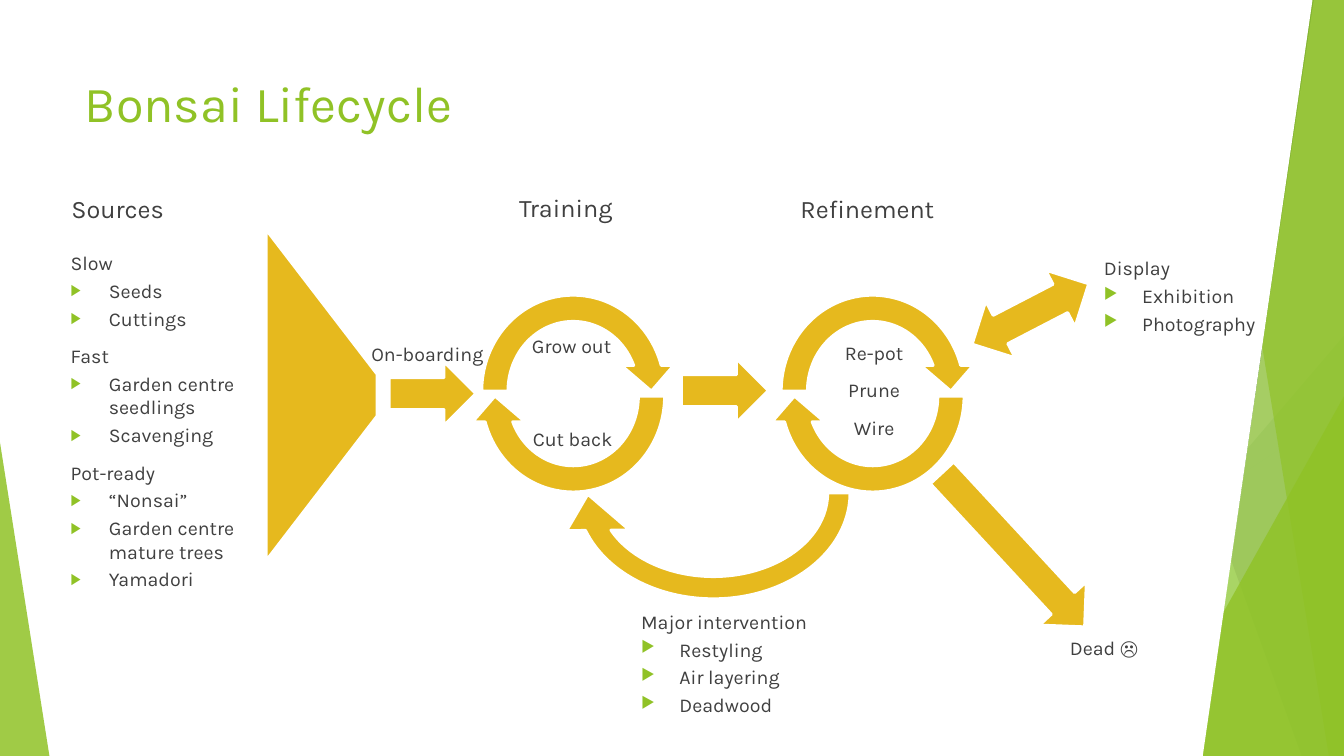
"""Build the Bonsai Lifecycle slide."""
from lxml import etree
from pptx import Presentation
from pptx.dml.color import RGBColor
from pptx.enum.shapes import MSO_CONNECTOR, MSO_SHAPE as Preset
from pptx.enum.text import MSO_ANCHOR, MSO_AUTO_SIZE, PP_ALIGN
from pptx.oxml.ns import qn
from pptx.util import Inches, Pt

COLORS = {
    "green": "90C226", "leaf": "54A021", "forest": "3F7819", "lime": "C0E474",
    "gold": "E6B91E", "text": "404040", "grey": "D9D9D9", "white": "FFFFFF",
}
FONT = "Karla"


def paint(shape, color, opacity=100, outline=0):
    """Fill a shape, optionally translucent or with a white outline."""
    shape.shadow.inherit = False
    shape.fill.solid()
    shape.fill.fore_color.rgb = RGBColor.from_string(COLORS[color])
    if opacity < 100:
        color_element = shape._element.spPr.find(qn("a:solidFill"))[0]
        etree.SubElement(color_element, qn("a:alpha"), val=str(opacity * 1000))
    if outline:
        shape.line.color.rgb = RGBColor.from_string(COLORS["white"])
        shape.line.width = Pt(outline)
    else:
        shape.line.fill.background()


def write(frame, lines, size=14, align=PP_ALIGN.LEFT, color="text"):
    """Write lines into a frame; those starting with a dash are bulleted."""
    frame.word_wrap = True
    frame.auto_size = MSO_AUTO_SIZE.NONE
    frame.vertical_anchor = MSO_ANCHOR.TOP
    for index, line in enumerate(lines):
        paragraph = frame.add_paragraph() if index else frame.paragraphs[0]
        bulleted = line.startswith("- ")
        paragraph.text = line.removeprefix("- ")
        paragraph.alignment = align
        paragraph.space_before = Pt(3 if bulleted else 10)
        paragraph.font.name = FONT
        paragraph.font.size = Pt(size)
        paragraph.font.color.rgb = RGBColor.from_string(COLORS[color])
        properties = paragraph._p.get_or_add_pPr()
        indent = Inches(0.38) if bulleted else 0
        properties.set("marL", str(indent))
        properties.set("indent", str(-indent))
        if bulleted:
            bullet_color = etree.SubElement(properties, qn("a:buClr"))
            etree.SubElement(bullet_color, qn("a:srgbClr"), val=COLORS["green"])
            etree.SubElement(properties, qn("a:buSzPct"), val="80000")
            etree.SubElement(properties, qn("a:buChar"), char="▶")
        else:
            etree.SubElement(properties, qn("a:buNone"))
        text_defaults = properties.find(qn("a:defRPr"))
        if text_defaults is not None:
            properties.append(text_defaults)


presentation = Presentation()
presentation.slide_width = Inches(13.33)
presentation.slide_height = Inches(7.5)
slide = presentation.slides.add_slide(presentation.slide_layouts[1])
shapes = slide.shapes

ray = shapes.add_connector(
    MSO_CONNECTOR.STRAIGHT, Inches(13.33), Inches(4.03), Inches(8.12), Inches(7.5))
ray.line.color.rgb = RGBColor.from_string(COLORS["grey"])
ray.line.width = Pt(0.75)
etree.SubElement(ray._element.spPr, qn("a:effectLst"))

facets = [
    ("band", 12.28, 10.04, "green", 30),
    ("band", 10.5, 11.83, "green", 20),
    ("triangle", 9.77, 3.33, "leaf", 72),
    ("band", 10.21, 12.91, "forest", 70),
    ("band", 13.03, 11.92, "lime", 70),
    ("band", 11.96, 13.18, "green", 65),
    ("triangle", 11.34, 3.93, "green", 80),
]
for kind, first, second, color, opacity in facets:
    if kind == "band":
        builder = shapes.build_freeform(Inches(first), 0)
        builder.add_line_segments([
            (Inches(13.33), 0), (Inches(13.33), Inches(7.5)), (Inches(second), Inches(7.5))])
        facet = builder.convert_to_shape()
    else:
        facet = shapes.add_shape(
            Preset.ISOSCELES_TRIANGLE, Inches(first), Inches(second),
            Inches(13.33 - first), Inches(7.5 - second))
        facet.adjustments[0] = 1
    paint(facet, color, opacity)

left_facet = shapes.add_shape(
    Preset.ISOSCELES_TRIANGLE, 0, Inches(4.39), Inches(0.49), Inches(3.11))
left_facet.adjustments[0] = 0
paint(left_facet, "green", 85)

backdrop = shapes.add_shape(
    Preset.PARALLELOGRAM, Inches(7.47), Inches(-0.02), Inches(5.54), Inches(7.52))
backdrop.adjustments[0] = 0.197
paint(backdrop, "white", outline=1.5)

flow = [
    (Preset.TRAPEZOID, 1.55, 3.37, 3.28, 1.1, 90, [1.303]),
    (Preset.RIGHT_ARROW, 3.86, 3.59, 0.86, 0.63, 0, []),
    (Preset.RIGHT_ARROW, 6.76, 3.56, 0.86, 0.63, 0, []),
    (Preset.CIRCULAR_ARROW, 5.52, 3.64, 3.11, 2.5, 180,
     [0.088, 10.357, 205.258, 108, 0.124]),
    (Preset.LEFT_RIGHT_ARROW, 9.57, 2.8, 1.3, 0.63, 332.6, []),
    (Preset.RIGHT_ARROW, 9.01, 5.14, 2.08, 0.63, 47.2, []),
]
for cycle_left in (4.65, 7.62):
    for cycle_top, rotation in ((2.8, 0), (2.85, 180)):
        flow.append(
            (Preset.CIRCULAR_ARROW, cycle_left, cycle_top, 2.07, 2.16, rotation, []))
for preset, left, top, width, height, rotation, adjustments in flow:
    shape = shapes.add_shape(preset, Inches(left), Inches(top), Inches(width), Inches(height))
    shape.rotation = rotation
    for index, value in enumerate(adjustments):
        shape.adjustments[index] = value
    paint(shape, "gold", outline=2)

title = shapes.title
title.left, title.top = Inches(0.74), Inches(0.67)
title.width, title.height = Inches(11.05), Inches(1.26)
write(title.text_frame, ["Bonsai Lifecycle"], 36, color="green")

sources = slide.placeholders[1]
sources.left, sources.top = Inches(0.6), Inches(2.44)
sources.width, sources.height = Inches(2.02), Inches(4.8)
write(sources.text_frame, [
    "Slow", "- Seeds", "- Cuttings",
    "Fast", "- Garden centre seedlings", "- Scavenging",
    "Pot-ready", "- “Nonsai”", "- Garden centre mature trees", "- Yamadori"])

labels = [
    (0.61, 1.87, 1.18, 0.64, 18, PP_ALIGN.LEFT, ["Sources"]),
    (5.05, 1.86, 1.18, 0.64, 18, PP_ALIGN.LEFT, ["Training"]),
    (7.84, 1.87, 1.72, 0.64, 18, PP_ALIGN.LEFT, ["Refinement"]),
    (3.36, 3.34, 1.76, 0.78, 14, PP_ALIGN.CENTER, ["On-boarding"]),
    (4.79, 3.26, 1.76, 0.78, 14, PP_ALIGN.CENTER, ["Grow out"]),
    (4.8, 4.19, 1.76, 0.78, 14, PP_ALIGN.CENTER, ["Cut back"]),
    (7.79, 3.33, 1.76, 1.36, 14, PP_ALIGN.CENTER, ["Re-pot", "Prune", "Wire"]),
    (10.07, 6.26, 1.76, 0.78, 14, PP_ALIGN.CENTER, ["Dead ☹"]),
    (10.85, 2.49, 2.02, 1.14, 14, PP_ALIGN.LEFT,
     ["Display", "- Exhibition", "- Photography"]),
    (6.26, 6, 2.22, 1.27, 14, PP_ALIGN.LEFT,
     ["Major intervention", "- Restyling", "- Air layering", "- Deadwood"]),
]
for left, top, width, height, size, align, lines in labels:
    label = shapes.add_textbox(Inches(left), Inches(top), Inches(width), Inches(height))
    write(label.text_frame, lines, size, align)

presentation.save("out.pptx")
